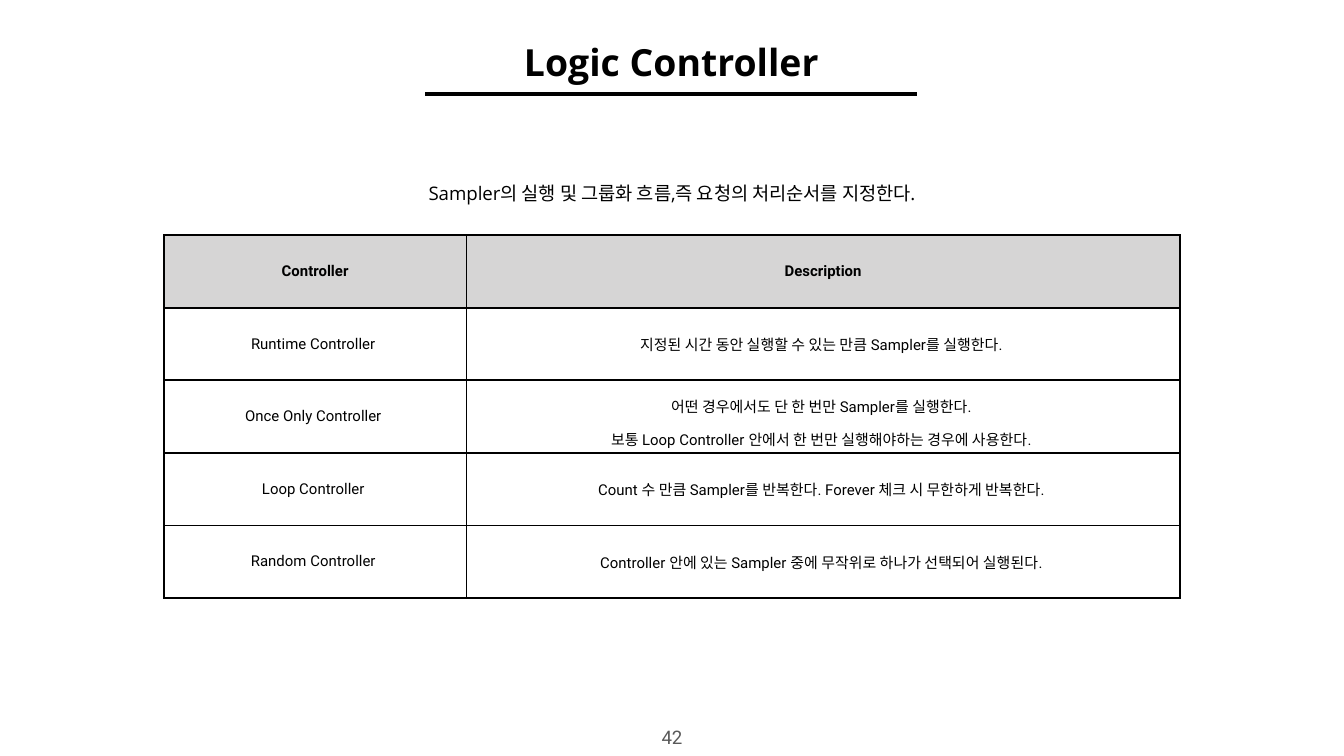
from lxml import etree
from pptx import Presentation
from pptx.dml.color import RGBColor
from pptx.enum.shapes import MSO_CONNECTOR
from pptx.enum.text import MSO_ANCHOR, PP_ALIGN
from pptx.oxml.ns import qn
from pptx.util import Inches, Pt

CENTER = PP_ALIGN.CENTER
TOP, MIDDLE = MSO_ANCHOR.TOP, MSO_ANCHOR.MIDDLE
STRAIGHT = MSO_CONNECTOR.STRAIGHT
COLORS = {"ink": "000000", "header": "D6D5D5", "number": "595959"}
ROWS = [
    ("Controller", "Description"),
    ("Runtime Controller ", "지정된 시간 동안 실행할 수 있는 만큼 Sampler를 실행한다. "),
    ("Once Only Controller ",
     "어떤 경우에서도 단 한 번만 Sampler를 실행한다. \n"
     "보통 Loop Controller 안에서 한 번만 실행해야하는 경우에 사용한다. "),
    ("Loop Controller ", "Count 수 만큼 Sampler를 반복한다. Forever 체크 시 무한하게 반복한다. "),
    ("Random Controller ",
     "Controller 안에 있는 Sampler 중에 무작위로 하나가 선택되어 실행된다. "),
]


def rgb(name):
    """Return the named palette colour."""
    return RGBColor.from_string(COLORS[name])


def write_para(para, text, size, font, color="ink", bold=False, spacing=None):
    """Fill a centred paragraph and format its runs."""
    para.text = text
    para.alignment = CENTER
    if spacing:
        para.line_spacing = spacing
    for span in para.runs:
        span.font.size = Pt(size)
        span.font.name = font
        span.font.bold = bold
        span.font.color.rgb = rgb(color)


def add_label(page, area, text, size, font, inset=0.04, anchor=MIDDLE, **style):
    """Add a wrapped text box with one centred paragraph."""
    box = page.shapes.add_textbox(*map(Inches, area))
    frame = box.text_frame
    frame.word_wrap = True
    frame.vertical_anchor = anchor
    frame.margin_left = frame.margin_right = Inches(inset)
    frame.margin_top = frame.margin_bottom = Inches(inset)
    write_para(frame.paragraphs[0], text, size, font, **style)


def add_title(page, left, top, width, height):
    """Add the heading with a centred rule under it."""
    add_label(page, (left, top, width, height), "Logic Controller", 20,
              "Open Sans", inset=0.1, bold=True)
    middle, half, level = left + width / 2, 1.83, top + height + 0.03
    rule = page.shapes.add_connector(
        STRAIGHT, Inches(middle - half), Inches(level),
        Inches(middle + half), Inches(level))
    rule.line.color.rgb = rgb("ink")
    rule.line.width = Pt(2.25)
    etree.SubElement(rule._element.spPr, qn("a:effectLst"))


def add_borders(cell):
    """Draw a thin line on every side of a cell, ahead of its fill."""
    properties = cell._tc.get_or_add_tcPr()
    for index, side in enumerate(("lnL", "lnR", "lnT", "lnB")):
        line = etree.Element(qn("a:" + side), w=str(Pt(1)))
        fill = etree.SubElement(line, qn("a:solidFill"))
        etree.SubElement(fill, qn("a:srgbClr"), val=COLORS["ink"])
        properties.insert(index, line)


def add_controller_table(page, left, top, widths, row_height):
    """Add the table of controllers and their descriptions."""
    frame = page.shapes.add_table(
        len(ROWS), len(widths), Inches(left), Inches(top),
        Inches(sum(widths)), Inches(row_height * len(ROWS)))
    table = frame.table
    for column, width in zip(table.columns, widths):
        column.width = Inches(width)
    for row_index, texts in enumerate(ROWS):
        table.rows[row_index].height = Inches(row_height)
        is_header = row_index == 0
        for column_index, text in enumerate(texts):
            cell = table.cell(row_index, column_index)
            cell.vertical_anchor = MIDDLE
            cell.margin_left = cell.margin_right = Inches(0.04)
            cell.margin_top = cell.margin_bottom = Inches(0.03)
            if is_header:
                cell.fill.solid()
                cell.fill.fore_color.rgb = rgb("header")
            else:
                cell.fill.background()
            add_borders(cell)
            write_para(cell.text_frame.paragraphs[0], text, 8, "Roboto",
                       bold=is_header, spacing=1.5 if "\n" in text else None)


def main():
    """Build and save the deck."""
    deck = Presentation()
    deck.slide_width = Inches(10)
    deck.slide_height = deck.slide_width * 9 // 16
    page = deck.slides.add_slide(deck.slide_layouts[6])
    add_label(page, (4.87, 5.36, 0.26, 0.19), "42", 10, "Roboto",
              anchor=TOP, color="number")
    add_label(page, (1.01, 1.23, 7.98, 0.24),
              "Sampler의 실행 및 그룹화 흐름,즉 요청의 처리순서를 지정한다.",
              10, "Open Sans", spacing=2.0)
    add_controller_table(page, 1.22, 1.75, (2.25, 5.31), 0.54)
    add_title(page, 2.44, 0.25, 5.11, 0.42)
    deck.save("out.pptx")


if __name__ == "__main__":
    main()
